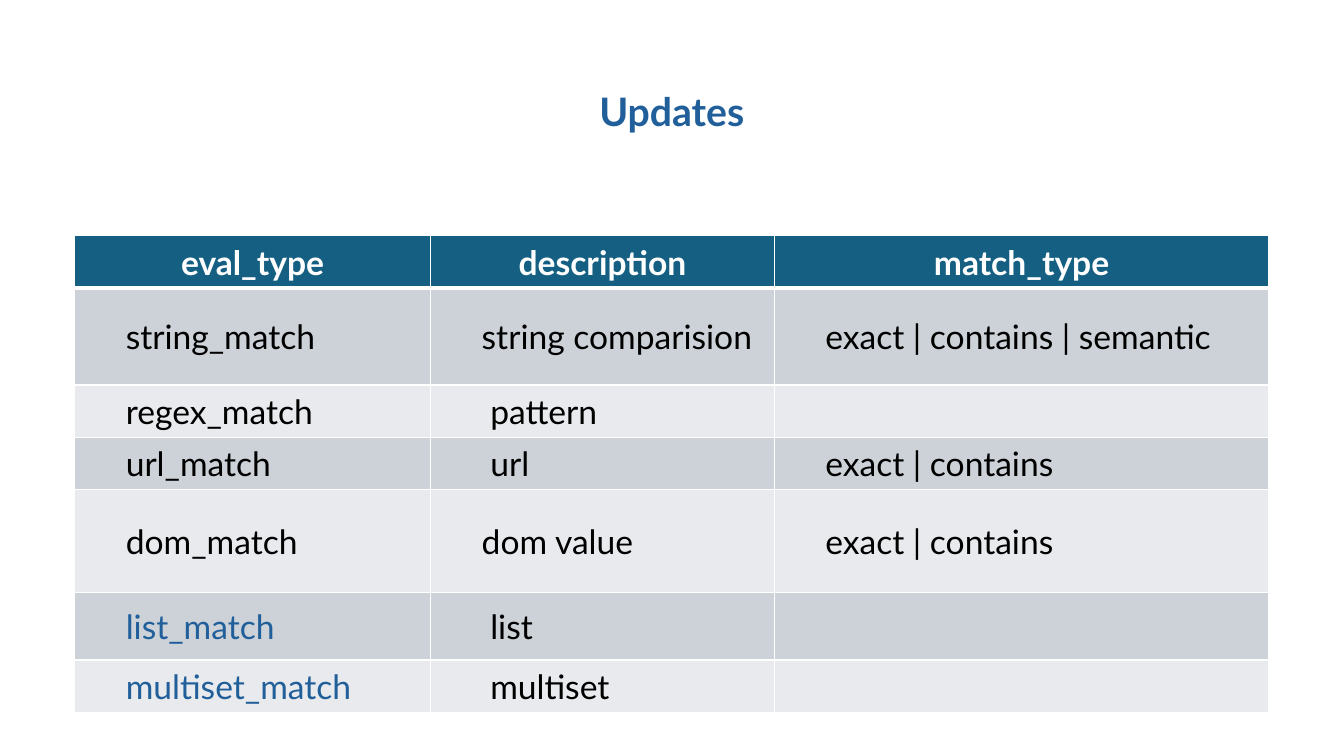
from lxml.etree import SubElement
from pptx import Presentation
from pptx.dml.color import RGBColor
from pptx.enum.text import MSO_ANCHOR, PP_ALIGN
from pptx.oxml.ns import qn
from pptx.util import Cm, Pt

TITLE = "Updates"
HEADERS = ["eval_type", "description", "match_type"]
ROWS = [
    ("string_match", "string comparision", "exact | contains | semantic"),
    ("regex_match", " pattern", ""),
    ("url_match", " url", "exact | contains"),
    ("dom_match", "dom value", "exact | contains"),
    ("list_match", " list", ""),
    ("multiset_match", " multiset", ""),
]
NEW_TYPES = {"list_match", "multiset_match"}

COLORS = {
    "accent": "215F9A",
    "header": "156082",
    "odd_row": "CCD2D8",
    "even_row": "E8EAED",
    "white": "FFFFFF",
    "black": "000000",
}
FONT = "Lato"
SLIDE_SIZE = (33.87, 19.05)
TITLE_BOX = (7.8, 0.81, 18.26, 2.72)
TABLE_LEFT, TABLE_TOP = 1.88, 5.94
COLUMN_WIDTHS = [8.97, 8.66, 12.47]
ROW_HEIGHTS = [1.32, 2.44, 1.32, 1.32, 2.59, 1.7, 1.32]
BODY_INDENT = 1.27
CELL_FORMAT = {
    "vertical_anchor": MSO_ANCHOR.MIDDLE,
    "margin_left": Cm(0.02),
    "margin_right": Cm(0.02),
    "margin_top": Cm(0.02),
    "margin_bottom": Cm(0),
}


def apply_format(target, values):
    """Set every attribute named in values on the target."""
    for name, value in values.items():
        setattr(target, name, value)


def write_text(paragraph, text, size, color, bold):
    """Add one formatted run to the paragraph."""
    run = paragraph.add_run()
    run.text = text
    apply_format(run.font, {"name": FONT, "size": Pt(size), "bold": bold})
    run.font.color.rgb = RGBColor.from_string(COLORS[color])


def add_borders(cell, widths):
    """Draw white borders of the given point widths around the cell."""
    properties = cell._tc.get_or_add_tcPr()
    for side, width in widths.items():
        line = SubElement(properties, qn(f"a:ln{side}"), w=str(Pt(width)))
        fill = SubElement(line, qn("a:solidFill"))
        SubElement(fill, qn("a:srgbClr"), val=COLORS["white"])


def add_title(slide):
    """Add the centred slide title."""
    frame = slide.shapes.add_textbox(*map(Cm, TITLE_BOX)).text_frame
    apply_format(frame, {"word_wrap": True, "vertical_anchor": MSO_ANCHOR.BOTTOM})
    paragraph = frame.paragraphs[0]
    apply_format(paragraph, {"alignment": PP_ALIGN.CENTER, "line_spacing": 0.9})
    write_text(paragraph, TITLE, 28, "accent", True)


def fill_cell(cell, text, row_index):
    """Style one table cell and write its text."""
    is_header = row_index == 0
    add_borders(cell, {
        "L": 1,
        "R": 1,
        "T": 3 if row_index == 1 else 1,
        "B": 3 if is_header else 1,
    })
    background = "header" if is_header else ("even_row", "odd_row")[row_index % 2]
    cell.fill.solid()
    cell.fill.fore_color.rgb = RGBColor.from_string(COLORS[background])
    apply_format(cell, CELL_FORMAT)
    if not text:
        return
    paragraph = cell.text_frame.paragraphs[0]
    if is_header:
        paragraph.alignment = PP_ALIGN.CENTER
        color = "white"
    else:
        paragraph.level = 1
        paragraph._p.get_or_add_pPr().set("marL", str(Cm(BODY_INDENT)))
        color = "accent" if text in NEW_TYPES else "black"
    write_text(paragraph, text, 24, color, is_header)


def add_match_table(slide):
    """Add the table of evaluation types."""
    content = [HEADERS, *ROWS]
    table = slide.shapes.add_table(
        len(content), len(HEADERS), Cm(TABLE_LEFT), Cm(TABLE_TOP),
        Cm(sum(COLUMN_WIDTHS)), Cm(sum(ROW_HEIGHTS)),
    ).table
    for column, width in zip(table.columns, COLUMN_WIDTHS):
        column.width = Cm(width)
    for row_index, (texts, height) in enumerate(zip(content, ROW_HEIGHTS)):
        row = table.rows[row_index]
        row.height = Cm(height)
        for cell, text in zip(row.cells, texts):
            fill_cell(cell, text, row_index)


def main():
    """Build the slide and save it."""
    presentation = Presentation()
    presentation.slide_width, presentation.slide_height = map(Cm, SLIDE_SIZE)
    slide = presentation.slides.add_slide(presentation.slide_layouts[6])
    add_title(slide)
    add_match_table(slide)
    presentation.save("out.pptx")


if __name__ == "__main__":
    main()
